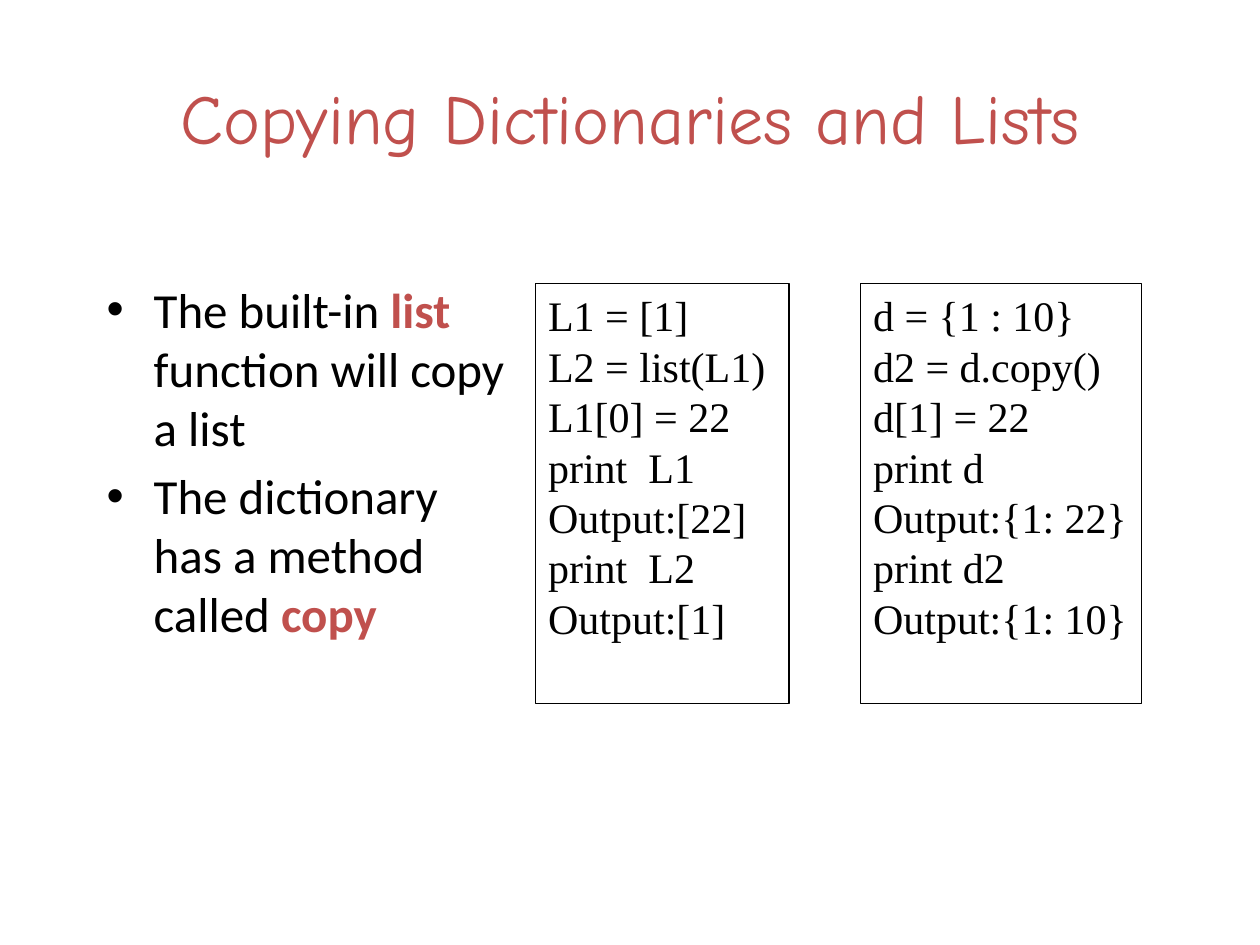
from pptx import Presentation
from pptx.dml.color import RGBColor as RGB
from pptx.enum.shapes import MSO_SHAPE as Kind
from pptx.enum.text import MSO_ANCHOR as Anchor, PP_ALIGN as Align
from pptx.util import Cm, Pt
from lxml.etree import SubElement as Sub

INK, RED = "000000", "C0504D"
NS = "{http://schemas.openxmlformats.org/drawingml/2006/main}"


def tint(code):
    return RGB.from_string(code)


class Deck:
    """Holds the style and the current slide."""
    head, body, code = ("Comic Neue", 40), ("Calibri", 28), ("Times New Roman", 24)

    def __init__(self, wide, high):
        self.prs = Presentation()
        self.prs.slide_width, self.prs.slide_height = Cm(wide), Cm(high)
        self.slide = self.prs.slides.add_slide(self.prs.slide_layouts[6])

    def style(self, para, face, color=INK):
        para.font.name, para.font.size = face[0], Pt(face[1])
        para.font.color.rgb = tint(color)

    def text(self, *box):
        frame = self.slide.shapes.add_textbox(*map(Cm, box)).text_frame
        frame.word_wrap = True
        return frame

    def title(self, words, *box):
        frame = self.text(*box)
        frame.vertical_anchor = Anchor.MIDDLE
        para = frame.paragraphs[0]
        para.text, para.alignment = words, Align.CENTER
        self.style(para, self.head, RED)

    def bullets(self, items, *box):
        """Each item is a list of (words, is key word)."""
        frame = self.text(*box)
        for i, item in enumerate(items):
            para = frame.add_paragraph() if i else frame.paragraphs[0]
            para.space_before = Pt(5.6)
            self.style(para, self.body)
            for words, key in item:
                run = para.add_run()
                run.text = words
                run.font.name, run.font.size = self.body[0], Pt(self.body[1])
                run.font.bold = key
                run.font.color.rgb = tint(RED if key else INK)
            # Hanging bullet
            props = para._p.get_or_add_pPr()
            props.set("marL", str(Cm(0.95)))
            props.set("indent", str(-Cm(0.95)))
            Sub(props, NS + "buFont", typeface="Arial")
            Sub(props, NS + "buChar", char="•")

    def listing(self, lines, *box):
        shape = self.slide.shapes.add_shape(Kind.RECTANGLE, *map(Cm, box))
        shape.shadow.inherit = False
        shape.fill.background()
        shape.line.color.rgb, shape.line.width = tint(INK), Pt(0.75)
        frame = shape.text_frame
        frame.word_wrap, frame.margin_right = True, 0
        frame.vertical_anchor = Anchor.TOP
        for i, line in enumerate(lines):
            para = frame.add_paragraph() if i else frame.paragraphs[0]
            para.text, para.alignment = line, Align.LEFT
            self.style(para, self.code)


deck = Deck(25.4, 19.05)

# Heading
deck.title("Copying Dictionaries and Lists", 1.27, 0.76, 22.86, 3.18)

# Key points
deck.bullets([
    [("The built-in ", False), ("list", True),
     (" function will copy a list", False)],
    [("The dictionary has a method called ", False), ("copy", True)],
], 1.9, 5.51, 8.69, 8.23)

# Code samples
top, high = 5.72, 8.46
deck.listing(["L1 = [1]", "L2 = list(L1)", "L1[0] = 22", "print  L1",
              "Output:[22]", "print  L2", "Output:[1]"],
             10.8, top, 5.11, high)
deck.listing(["d = {1 : 10}", "d2 = d.copy()", "d[1] = 22", "print d",
              "Output:{1: 22}", "print d2", "Output:{1: 10}"],
             17.35, top, 5.66, high)

deck.prs.save("out.pptx")
